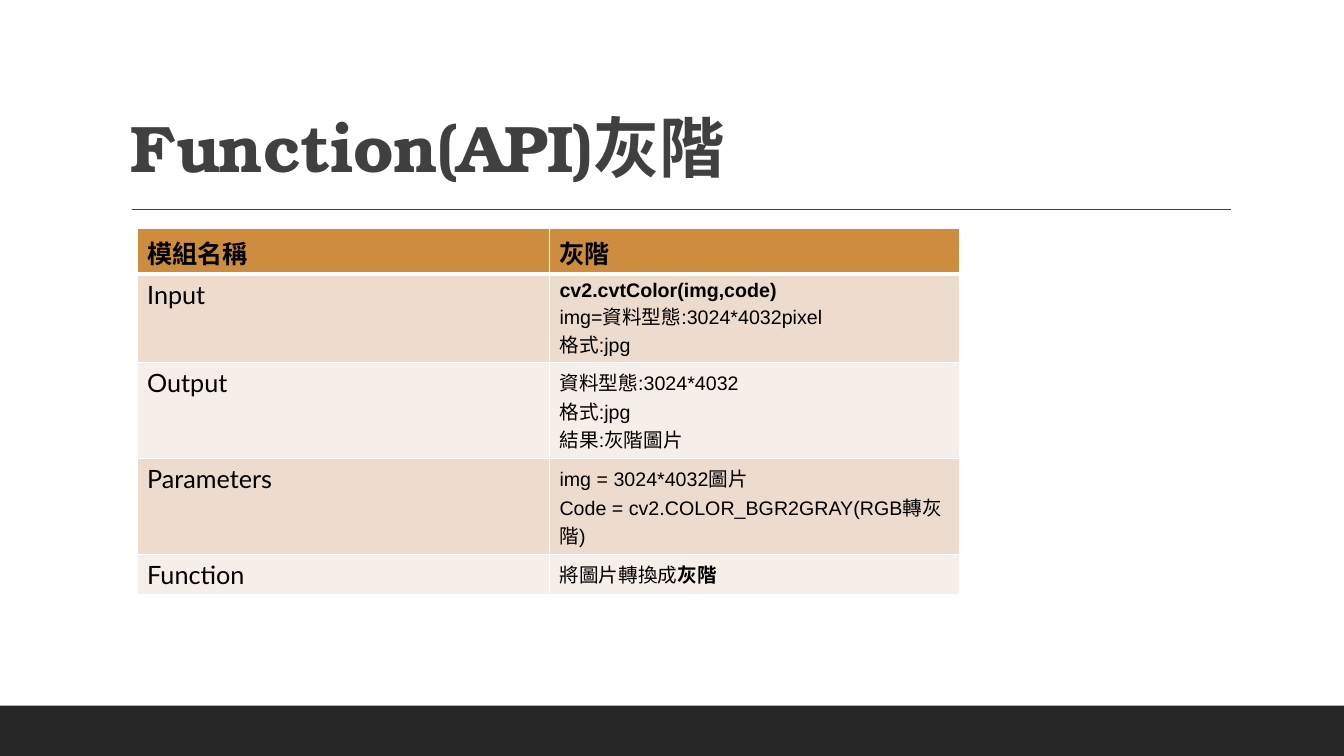
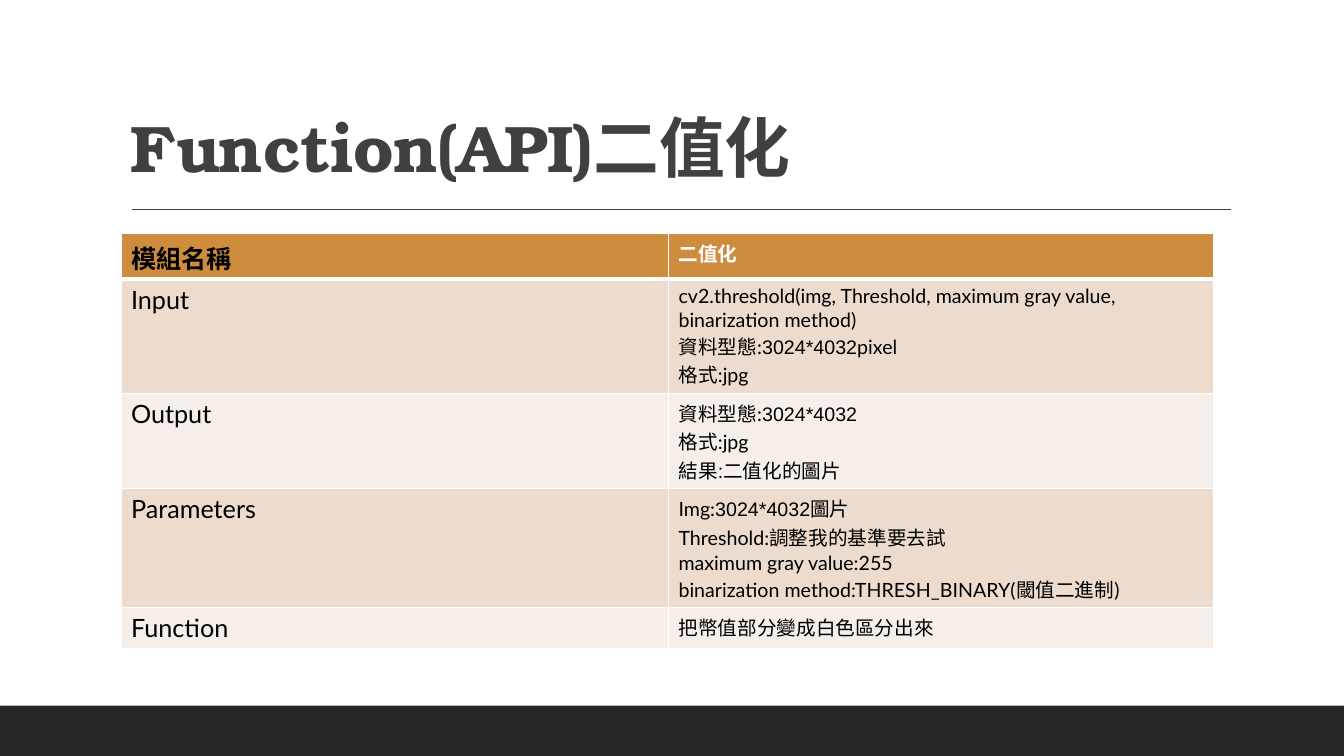
from pptx import Presentation
from pptx.dml.color import RGBColor
from pptx.enum.shapes import MSO_CONNECTOR, MSO_SHAPE
from pptx.enum.text import MSO_ANCHOR
from pptx.oxml.ns import qn
from pptx.util import Inches, Pt
from lxml.etree import SubElement

COLORS = {
    "band": "262626",
    "title": "404040",
    "header": "CE8D3E",
    "dark row": "EDDBCE",
    "light row": "F6EEE8",
    "black": "000000",
    "white": "FFFFFF",
}


def style(name, size, bold=False, color="black"):
    return {"name": name, "size": Pt(size), "bold": bold, "color": color}


STYLES = {
    "title": style("TeX Gyre Bonum", 47, True, "title"),
    "header": style("Lato", 18, True),
    "small header": style("Lato", 14, True, "white"),
    "label": style("Lato", 18),
    "lato": style("Lato", 14),
    "arial": style("Arial", 14),
    "strong": style("Arial", 14, True),
}


class SlideWriter:
    """Holds the deck, its style and the slide being written."""

    def __init__(self):
        self.deck = Presentation()
        self.deck.slide_width = Inches(13.33)
        self.deck.slide_height = Inches(7.5)
        self.page = None

    def color(self, name):
        return RGBColor.from_string(COLORS[name])

    def add_page(self, title):
        self.page = self.deck.slides.add_slide(self.deck.slide_layouts[6])
        self.add_band()
        self.add_rule()
        self.add_title(title)

    def add_band(self):
        band = self.page.shapes.add_shape(
            MSO_SHAPE.RECTANGLE, 0, Inches(7), self.deck.slide_width, Inches(0.5))
        band.shadow.inherit = False
        band.fill.solid()
        band.fill.fore_color.rgb = self.color("band")
        band.line.fill.background()

    def add_rule(self):
        rule = self.page.shapes.add_connector(
            MSO_CONNECTOR.STRAIGHT, Inches(1.31), Inches(2.08), Inches(12.21), Inches(2.08))
        rule.line.color.rgb = self.color("title")
        rule.line.width = Pt(1)
        SubElement(rule._element.spPr, qn("a:effectLst"))

    def add_title(self, text):
        box = self.page.shapes.add_textbox(Inches(1.2), Inches(0.31), Inches(11), Inches(1.59))
        frame = box.text_frame
        frame.word_wrap = True
        frame.vertical_anchor = MSO_ANCHOR.BOTTOM
        para = frame.paragraphs[0]
        para.line_spacing = 0.9
        span = self.add_span(para, "title", text)
        span._r.get_or_add_rPr().set("spc", "-50")

    def add_span(self, para, style_name, text):
        span = para.add_run()
        span.text = text
        for key, value in STYLES[style_name].items():
            if key == "color":
                span.font.color.rgb = self.color(value)
            else:
                setattr(span.font, key, value)
        return span

    def fill_cell(self, cell, paragraphs):
        """Write paragraphs, each a list of (style name, text) spans."""
        for index, spans in enumerate(paragraphs):
            frame = cell.text_frame
            para = frame.add_paragraph() if index else frame.paragraphs[0]
            for style_name, text in spans:
                self.add_span(para, style_name, text)

    def set_borders(self, cell, widths):
        properties = cell._tc.get_or_add_tcPr()
        for side, width in widths.items():
            line = SubElement(properties, qn(f"a:ln{side}"), w=str(Pt(width)))
            fill = SubElement(line, qn("a:solidFill"))
            SubElement(fill, qn("a:srgbClr"), val=COLORS["white"])

    def add_module_table(self, left, top, widths, heights, header, contents):
        """Add a table of the module's name and its four described parts."""
        labels = ["Input", "Output", "Parameters", "Function"]
        rows = [([[("header", "模組名稱")]], [[header]])]
        rows += [([[("label", label)]], content) for label, content in zip(labels, contents)]
        table = self.page.shapes.add_table(
            len(rows), len(widths), Inches(left), Inches(top),
            Inches(sum(widths)), Inches(sum(heights))).table
        for column, width in zip(table.columns, widths):
            column.width = Inches(width)
        for index, (row, height, cells) in enumerate(zip(table.rows, heights, rows)):
            row.height = Inches(height)
            fill = "header" if index == 0 else "dark row" if index % 2 else "light row"
            borders = {"L": 1, "R": 1, "T": 3 if index == 1 else 1, "B": 1 if index else 3}
            for cell, paragraphs in zip(row.cells, cells):
                self.fill_cell(cell, paragraphs)
                self.set_borders(cell, borders)
                cell.fill.solid()
                cell.fill.fore_color.rgb = self.color(fill)


def add_grayscale_page(writer):
    writer.add_page("Function(API)灰階")
    writer.add_module_table(
        1.36, 2.27, [4.09, 4.07], [0.45, 0.88, 0.95, 0.95, 0.4], ("header", "灰階"), [
            [[("strong", "cv2.cvtColor(img,code)")],
             [("arial", "img=資料型態:3024*4032pixel")],
             [("arial", "格式:jpg")]],
            [[("arial", "資料型態:3024*4032")],
             [("arial", "格式:jpg")],
             [("arial", "結果:灰階圖片")]],
            [[("arial", "img = 3024*4032圖片")],
             [("arial", "Code = cv2.COLOR_BGR2GRAY(RGB轉灰階)")]],
            [[("arial", "將圖片轉換成"), ("strong", "灰階")]],
        ])


def add_threshold_page(writer):
    writer.add_page("Function(API)二值化")
    writer.add_module_table(
        1.2, 2.32, [5.43, 5.41], [0.45, 1.13, 0.95, 1.18, 0.4], ("small header", "二值化"), [
            [[("lato", "cv2.threshold(img, Threshold, maximum gray value, "
                       "binarization method)")],
             [("lato", "資料型態:"), ("arial", "3024*4032"), ("lato", "pixel")],
             [("lato", "格式:jpg")]],
            [[("lato", "資料型態:"), ("arial", "3024*4032")],
             [("lato", "格式:jpg")],
             [("arial", "結果:"), ("lato", "二值化的圖片")]],
            [[("lato", "Img:"), ("arial", "3024*4032"), ("lato", "圖片")],
             [("lato", "Threshold:調整我的基準要去試")],
             [("lato", "maximum gray value:255")],
             [("lato", "binarization method:THRESH_BINARY(閾值二進制)")]],
            [[("lato", "把幣值部分變成白色區分出來")]],
        ])


def main():
    writer = SlideWriter()
    add_grayscale_page(writer)
    add_threshold_page(writer)
    writer.deck.save("out.pptx")


if __name__ == "__main__":
    main()
